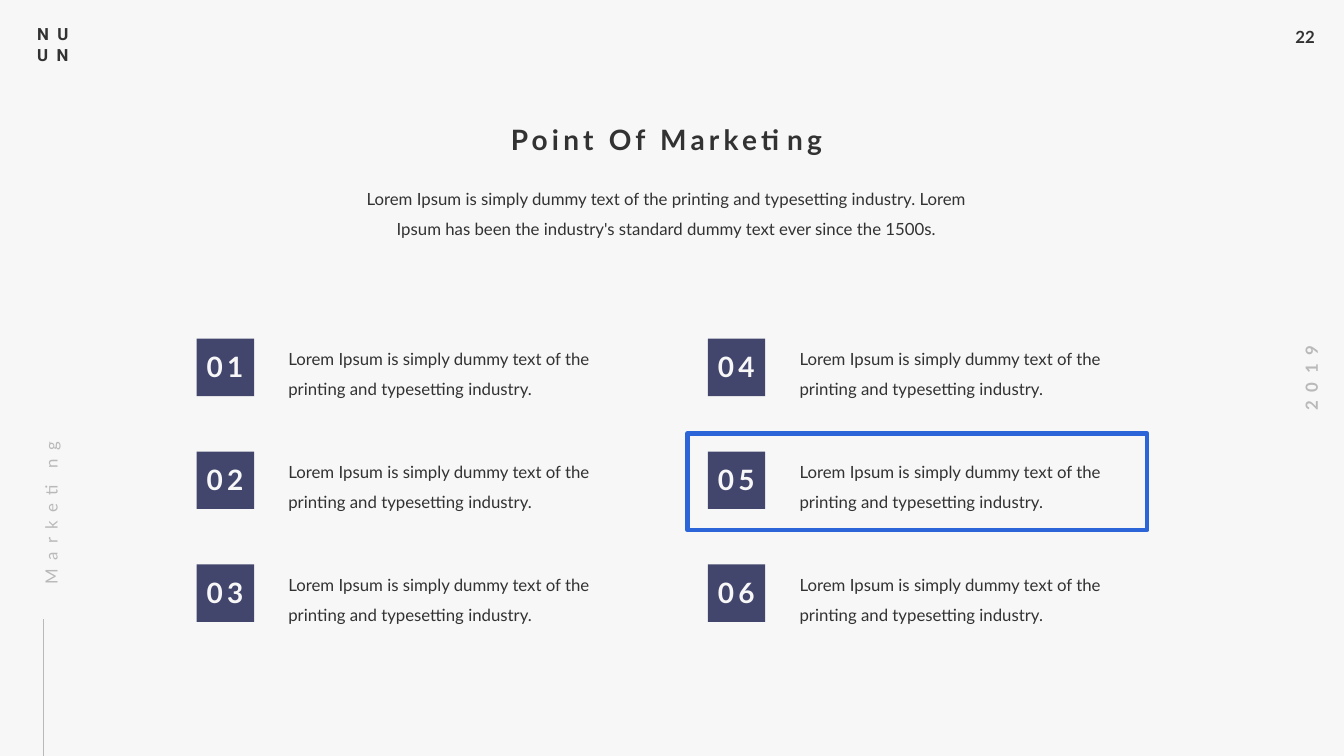
from pptx import Presentation
from pptx.dml.color import RGBColor
from pptx.enum.shapes import MSO_CONNECTOR as Line, MSO_SHAPE as Shape
from pptx.enum.text import MSO_AUTO_SIZE as Fit, PP_ALIGN as Align
from pptx.oxml.ns import qn
from pptx.util import Inches, Pt
from lxml import etree

DARK, GREY, NAVY, BLUE, PALE = "323232", "B9B9B9", "42456C", "2C65D8", "F7F7F7"
INTRO = ("Lorem Ipsum is simply dummy text of the printing and typesetting industry. "
         "Lorem Ipsum has been the industry's standard dummy text ever since the 1500s.")
POINT = "Lorem Ipsum is simply dummy text of the printing and typesetting industry."


def color(code):
    return RGBColor.from_string(code)


def add_text(shapes, box, lines, size=12, ink=DARK, font="Lato", bold=False,
             track=0, align=Align.LEFT, wrap=True, turn=0):
    """Add a text box, one paragraph per line; track is letter spacing in points."""
    label = shapes.add_textbox(*map(Inches, box))
    label.rotation = turn
    frame = label.text_frame
    frame.word_wrap = wrap
    frame.auto_size = Fit.SHAPE_TO_FIT_TEXT
    for i, line in enumerate(lines):
        para = frame.paragraphs[0] if i == 0 else frame.add_paragraph()
        para.alignment = align
        run = para.add_run()
        run.text = line
        face = run.font
        face.name, face.size, face.bold = font, Pt(size), bold
        face.color.rgb = color(ink)
        if track:
            face._element.set("spc", str(track * 100))
    return frame


def add_copy(shapes, box, text, lead=None, **style):
    """Add a text box with tight margins and space above its paragraph."""
    frame = add_text(shapes, box, [text], **style)
    frame.margin_left = frame.margin_top = frame.margin_bottom = 0
    para = frame.paragraphs[0]
    para.space_before = Pt(12)
    if lead:
        para.line_spacing = lead


def add_rect(shapes, box, fill=None, edge=None):
    rect = shapes.add_shape(Shape.RECTANGLE, *map(Inches, box))
    rect.shadow.inherit = False
    if fill:
        rect.fill.solid()
        rect.fill.fore_color.rgb = color(fill)
    else:
        rect.fill.background()
    if edge:
        rect.line.color.rgb = color(edge)
        rect.line.width = Pt(3)
    else:
        rect.line.fill.background()


def add_rule(shapes, x, start, end):
    rule = shapes.add_connector(Line.STRAIGHT, Inches(x), Inches(start),
                                Inches(x), Inches(end))
    rule.line.color.rgb = color(GREY)
    rule.line.width = Pt(0.5)
    etree.SubElement(rule._element.spPr, qn("a:effectLst"))


def add_point(shapes, x, y, number):
    add_copy(shapes, (x + 0.91, y, 3.45, 0.57), POINT, lead=1.5)
    badge = shapes.add_group_shape().shapes
    add_rect(badge, (x, y, 0.57, 0.57), fill=NAVY)
    add_copy(badge, (x + 0.1, y + 0.11, 0.57, 0.34), f"{number:02}",
             size=20, ink=PALE, bold=True, track=3)


def add_frame(shapes):
    """Add the page number, year, monogram and section name at the edges."""
    add_text(shapes, (12.75, 0.22, 0.41, 0.3), ["22"], bold=True, wrap=False)
    add_text(shapes, (12.54, 3.6, 0.93, 0.3), ["2019"], ink=GREY, bold=True,
             track=6, align=Align.CENTER, wrap=False, turn=270)
    add_text(shapes, (0.27, 0.19, 0.59, 0.5), ["NU", "UN"], font="Roboto",
             bold=True, track=6)
    add_rule(shapes, 0.43, 7.5, 6.14)
    add_copy(shapes, (-0.49, 4.74, 1.85, 0.26), "Marketing", lead=1.5,
             ink=GREY, track=6, turn=270)


def main():
    deck = Presentation()
    deck.slide_width, deck.slide_height = Inches(13.33), Inches(7.5)
    slide = deck.slides.add_slide(deck.slide_layouts[6])
    back = slide.background.fill
    back.solid()
    back.fore_color.rgb = color(PALE)
    shapes = slide.shapes

    add_frame(shapes)
    add_copy(shapes, (3.44, 1.77, 6.44, 0.57), INTRO, lead=1.5, align=Align.CENTER)
    add_copy(shapes, (4.91, 1.22, 3.5, 0.34), "Point Of Marketing", size=20,
             bold=True, track=3, align=Align.CENTER)
    for i in range(6):
        col, row = divmod(i, 3)
        add_point(shapes, 1.95 + col * 5.07, 3.36 + row * 1.12, i + 1)
    add_rect(shapes, (6.82, 4.3, 4.56, 0.96), edge=BLUE)

    deck.save("out.pptx")


if __name__ == "__main__":
    main()
